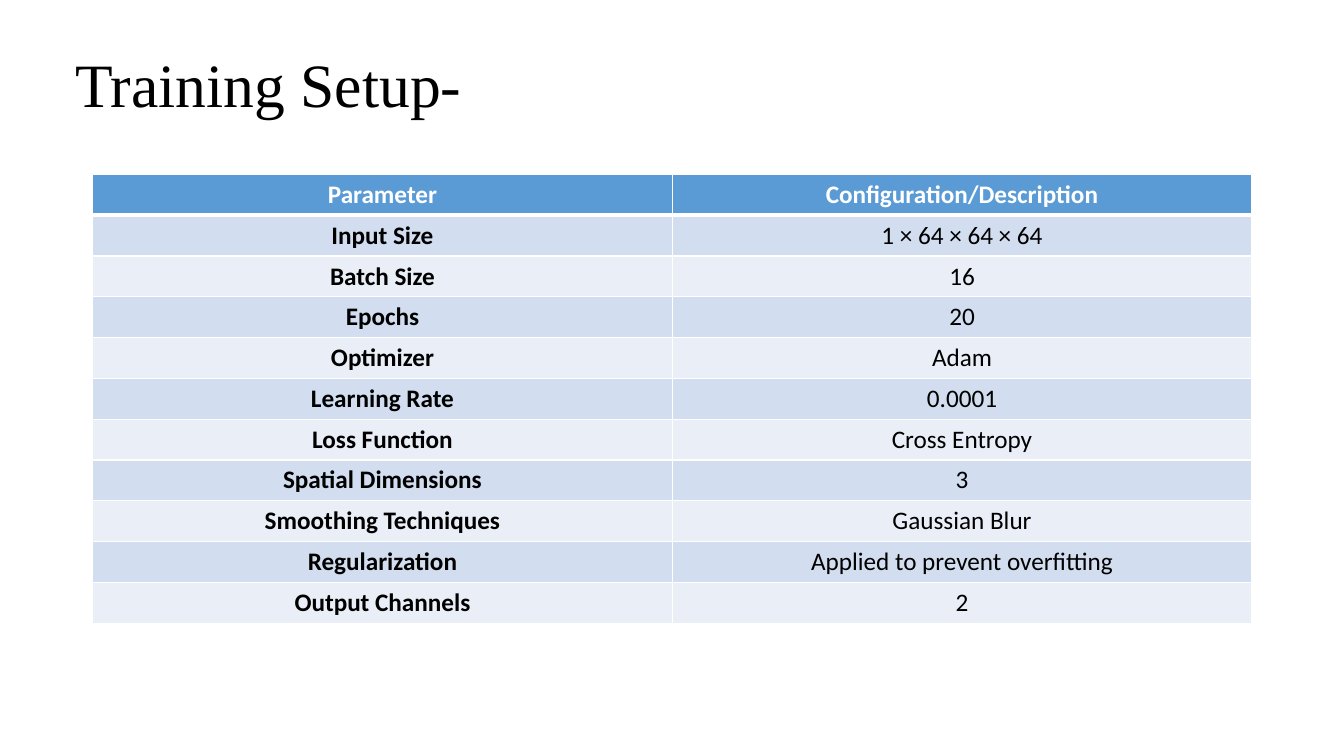
from lxml.etree import SubElement
from pptx import Presentation
from pptx.dml.color import RGBColor
from pptx.enum.text import MSO_ANCHOR, PP_ALIGN
from pptx.oxml.ns import qn
from pptx.util import Pt

SCALE = 4572
COLORS = {
    "black": "000000",
    "white": "FFFFFF",
    "head": "5B9BD5",
    "odd": "D2DEEF",
    "even": "EAEFF7",
}
ROWS = [
    ("Parameter", "Configuration/Description"),
    ("Input Size", "1 × 64 × 64 × 64"),
    ("Batch Size", "16"),
    ("Epochs", "20"),
    ("Optimizer", "Adam"),
    ("Learning Rate", "0.0001"),
    ("Loss Function", "Cross Entropy"),
    ("Spatial Dimensions", "3"),
    ("Smoothing Techniques", "Gaussian Blur"),
    ("Regularization", "Applied to prevent overfitting"),
    ("Output Channels", "2"),
]


def px(size):
    return size * SCALE


class Page:
    title_font = "Times New Roman"
    body_font = "Calibri"

    def __init__(self, slide):
        self.slide = slide

    def run(self, para, text, font, size, color, bold=False):
        run = para.add_run()
        run.text = text
        run.font.name = font
        run.font.size = Pt(size)
        run.font.bold = bold
        run.font.color.rgb = RGBColor.from_string(COLORS[color])

    def title(self, text, left, top, width, height):
        box = self.slide.shapes.add_textbox(*map(px, (left, top, width, height)))
        frame = box.text_frame
        frame.word_wrap = True
        frame.vertical_anchor = MSO_ANCHOR.MIDDLE
        para = frame.paragraphs[0]
        para.line_spacing = 0.9
        self.run(para, text, self.title_font, 44, "black")

    def border(self, cell, side, width):
        props = cell._tc.get_or_add_tcPr()
        line = SubElement(props, qn(f"a:ln{side}"), w=str(Pt(width)))
        fill = SubElement(line, qn("a:solidFill"))
        SubElement(fill, qn("a:srgbClr"), val=COLORS["white"])

    def cell(self, cell, text, row, col):
        head = row == 0
        thick = {(0, "B"), (1, "T")}
        for side in "LRTB":
            self.border(cell, side, 3 if (row, side) in thick else 1)
        shade = "head" if head else "odd" if row % 2 else "even"
        cell.fill.solid()
        cell.fill.fore_color.rgb = RGBColor.from_string(COLORS[shade])
        para = cell.text_frame.paragraphs[0]
        para.alignment = PP_ALIGN.CENTER
        color = "white" if head else "black"
        self.run(para, text, self.body_font, 18, color, head or col == 0)

    def table(self, rows, left, top, width, step):
        area = map(px, (left, top, width, step * len(rows)))
        table = self.slide.shapes.add_table(len(rows), len(rows[0]), *area).table
        for row, texts in enumerate(rows):
            table.rows[row].height = px(step)
            for col, text in enumerate(texts):
                self.cell(table.cell(row, col), text, row, col)


def main():
    deck = Presentation()
    deck.slide_width = px(2667)
    deck.slide_height = px(1500)
    page = Page(deck.slides.add_slide(deck.slide_layouts[6]))
    page.title("Training Setup-", 130, 28, 2300, 290)
    page.table(ROWS, 184, 346, 2300, 81)
    deck.save("out.pptx")


if __name__ == "__main__":
    main()
